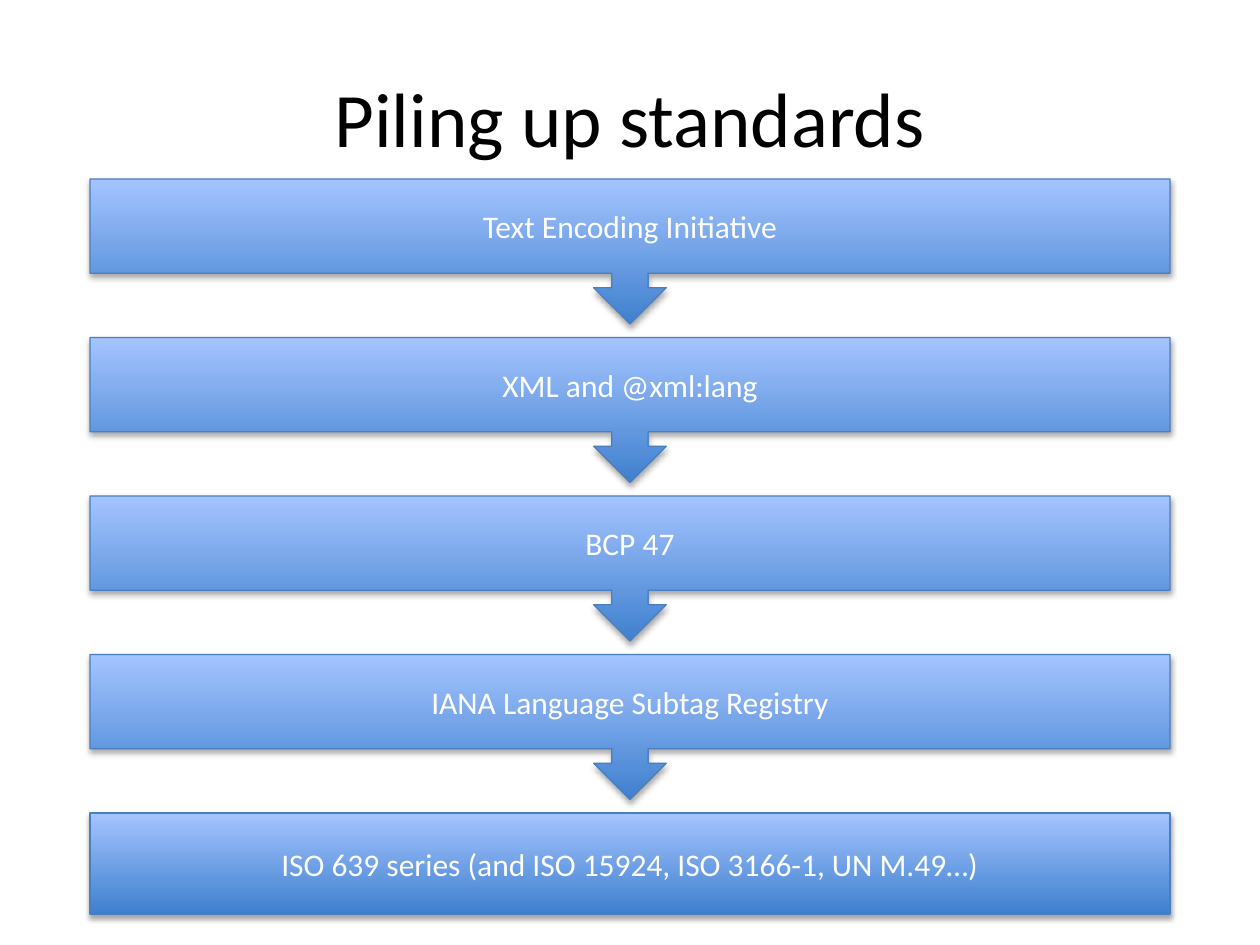
"""Build a slide showing a stack of language standards, each resting on the next."""
import pptx
import pptx.dml.color
import pptx.enum.shapes
import pptx.enum.text
import pptx.oxml
import pptx.oxml.ns
import pptx.util

TITLE = "Piling up standards"
STANDARDS = [
    "Text Encoding Initiative",
    "XML and @xml:lang",
    "BCP 47",
    "IANA Language Subtag Registry",
    "ISO 639 series (and ISO 15924, ISO 3166-1, UN M.49…)",
]

FONT = "Calibri"
BLACK = pptx.dml.color.RGBColor(0x00, 0x00, 0x00)
WHITE = pptx.dml.color.RGBColor(0xFF, 0xFF, 0xFF)
DARK_BLUE = pptx.dml.color.RGBColor(0x3F, 0x80, 0xCE)
LIGHT_BLUE = pptx.dml.color.RGBColor(0xA4, 0xC4, 0xFF)
LINE_BLUE = pptx.dml.color.RGBColor(0x4B, 0x7E, 0xBC)

PX = pptx.util.Inches(1) / 126
SLIDE_SIZE = (1260, 945)
TITLE_BOX = (63, 38, 1134, 157)
STACK_LEFT, STACK_WIDTH = 90, 1080
FIRST_TOP, LAST_TOP = 179, 813
CALLOUT_HEIGHT, BASE_HEIGHT = 145, 101

SHADOW = (
    f'<a:outerShdw {pptx.oxml.ns.nsdecls("a")} blurRad="40000" dist="23000" '
    'dir="5400000" rotWithShape="0"><a:srgbClr val="000000">'
    '<a:alpha val="35000"/></a:srgbClr></a:outerShdw>'
)


def emu(*lengths):
    return [pptx.util.Emu(round(length * PX)) for length in lengths]


def write_text(shape, text, size, color):
    frame = shape.text_frame
    frame.text = text
    frame.word_wrap = True
    frame.vertical_anchor = pptx.enum.text.MSO_ANCHOR.MIDDLE
    paragraph = frame.paragraphs[0]
    paragraph.alignment = pptx.enum.text.PP_ALIGN.CENTER
    paragraph.font.name = FONT
    paragraph.font.size = pptx.util.Pt(size)
    paragraph.font.color.rgb = color


def add_title(slide):
    title = slide.shapes.title
    title.left, title.top, title.width, title.height = emu(*TITLE_BOX)
    write_text(title, TITLE, 44, BLACK)


def add_standard(slide, kind, text, top, height):
    shape = slide.shapes.add_shape(kind, *emu(STACK_LEFT, top, STACK_WIDTH, height))
    shape.fill.gradient()
    shape.fill.gradient_angle = 90
    for stop, color in zip(shape.fill.gradient_stops, (DARK_BLUE, LIGHT_BLUE)):
        stop.color.rgb = color
    shape.line.color.rgb = LINE_BLUE
    shape.line.width = pptx.util.Pt(0.75)
    shape.shadow.inherit = False
    effects = shape._element.spPr.find(pptx.oxml.ns.qn("a:effectLst"))
    effects.append(pptx.oxml.parse_xml(SHADOW))
    write_text(shape, text, 18, WHITE)


def main():
    presentation = pptx.Presentation()
    presentation.slide_width, presentation.slide_height = emu(*SLIDE_SIZE)
    slide = presentation.slides.add_slide(presentation.slide_layouts[5])
    add_title(slide)
    shapes = pptx.enum.shapes.MSO_SHAPE
    last = len(STANDARDS) - 1
    for index, text in enumerate(STANDARDS):
        top = FIRST_TOP + index * (LAST_TOP - FIRST_TOP) / last
        if index < last:
            add_standard(slide, shapes.DOWN_ARROW_CALLOUT, text, top, CALLOUT_HEIGHT)
        else:
            add_standard(slide, shapes.RECTANGLE, text, top, BASE_HEIGHT)
    presentation.save("out.pptx")


if __name__ == "__main__":
    main()
